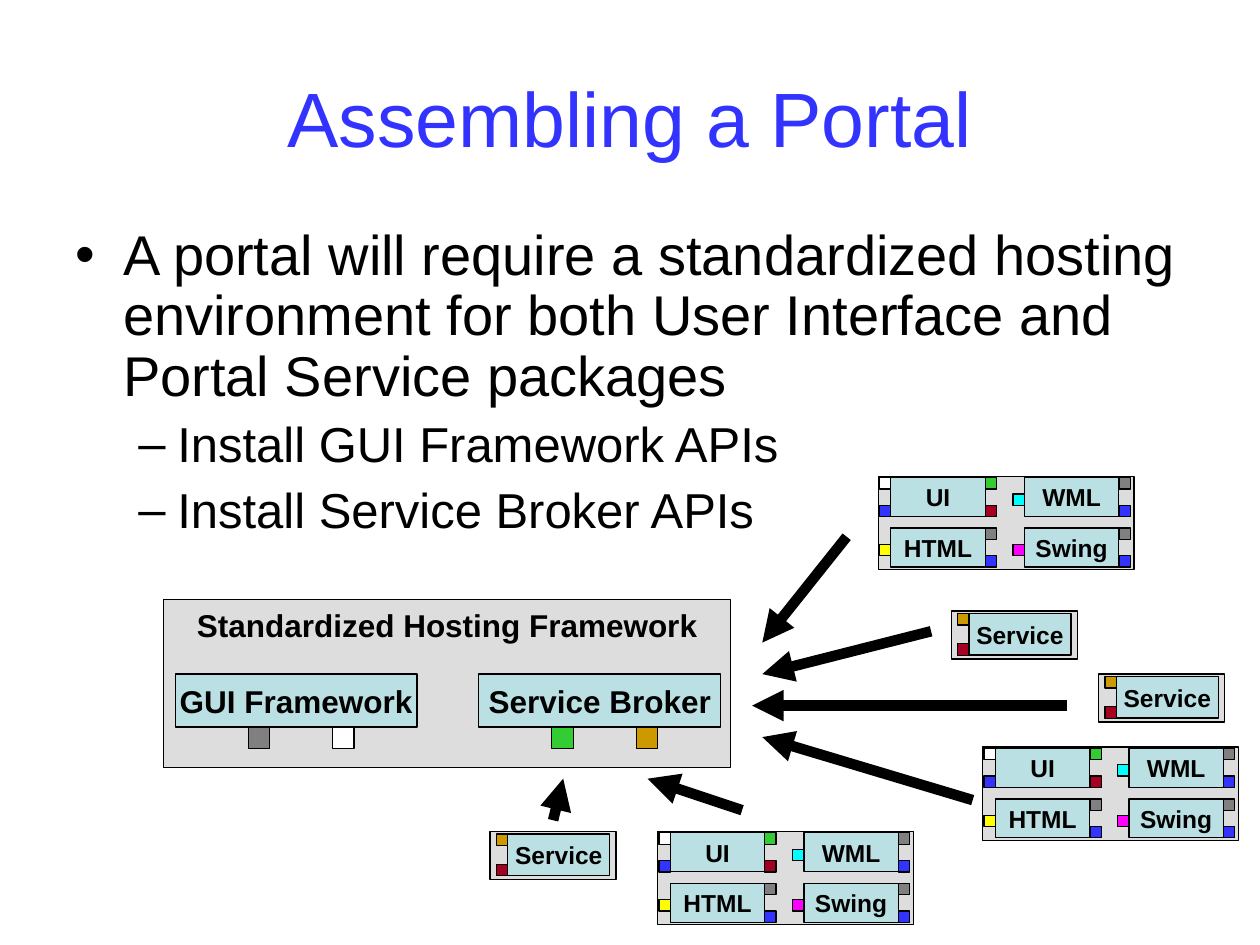
from dataclasses import dataclass

from lxml.etree import SubElement
from pptx import Presentation
from pptx.dml.color import RGBColor
from pptx.enum.shapes import MSO_CONNECTOR as Connector, MSO_SHAPE as Shape
from pptx.enum.text import MSO_ANCHOR as Anchor, PP_ALIGN as Align
from pptx.oxml.ns import qn
from pptx.util import Inches, Pt


@dataclass(frozen=True)
class Theme:
    """Colours, font and type sizes of the slide."""
    font: str = "Arial"
    title: str = "3333FF"
    ink: str = "000000"
    panel: str = "DDDDDD"
    block: str = "BBE0E3"
    white: str = "FFFFFF"
    gray: str = "808080"
    blue: str = "3333FF"
    red: str = "A50021"
    green: str = "33CC33"
    gold: str = "CC9900"
    cyan: str = "00FFFF"
    magenta: str = "FF00FF"
    yellow: str = "FFFF00"
    title_size: int = 44
    body_size: int = 32
    sub_size: int = 28
    framework_size: int = 18
    package_size: int = 14
    border: float = 0.75
    arrow: float = 6


@dataclass(frozen=True)
class Box:
    """A rectangle in inches."""
    left: float
    top: float
    width: float
    height: float

    def inner(self, left, top, width, height):
        """Return a box offset from this box's corner."""
        return Box(self.left + left, self.top + top, width, height)

    def lengths(self):
        """Return the four lengths for python-pptx."""
        return [Inches(v) for v in (self.left, self.top, self.width, self.height)]


THEME = Theme()
PORT = 0.09


def style_text(para, size, color=THEME.ink, bold=False):
    """Format every run of a paragraph."""
    for run in para.runs:
        run.font.name = THEME.font
        run.font.size = Pt(size)
        run.font.bold = bold
        run.font.color.rgb = RGBColor.from_string(color)


def add_rect(shapes, box, fill, label="", size=THEME.package_size, anchor=Anchor.MIDDLE):
    """Draw a bordered rectangle with an optional bold label."""
    rect = shapes.add_shape(Shape.RECTANGLE, *box.lengths())
    rect.shadow.inherit = False
    rect.fill.solid()
    rect.fill.fore_color.rgb = RGBColor.from_string(fill)
    rect.line.color.rgb = RGBColor.from_string(THEME.ink)
    rect.line.width = Pt(THEME.border)
    if label:
        frame = rect.text_frame
        frame.text = label
        frame.word_wrap = False
        frame.vertical_anchor = anchor
        frame.paragraphs[0].alignment = Align.CENTER
        style_text(frame.paragraphs[0], size, bold=True)


def add_title(page, box, text):
    """Place the centred slide title."""
    frame = page.shapes.add_textbox(*box.lengths()).text_frame
    frame.word_wrap = True
    frame.vertical_anchor = Anchor.MIDDLE
    frame.text = text
    frame.paragraphs[0].alignment = Align.CENTER
    style_text(frame.paragraphs[0], THEME.title_size, THEME.title)


def add_bullets(page, box, items):
    """Place a two-level bullet list of (level, text) items."""
    frame = page.shapes.add_textbox(*box.lengths()).text_frame
    frame.word_wrap = True
    levels = [("•", 0.38, -0.38, THEME.body_size), ("–", 0.81, -0.31, THEME.sub_size)]
    for index, (level, text) in enumerate(items):
        mark, margin, indent, size = levels[level]
        para = frame.add_paragraph() if index else frame.paragraphs[0]
        para.text = text
        para.level = level
        props = para._p.get_or_add_pPr()
        props.set("marL", str(Inches(margin)))
        props.set("indent", str(Inches(indent)))
        SubElement(props, qn("a:buFont"), typeface=THEME.font)
        SubElement(props, qn("a:buChar"), char=mark)
        para.line_spacing = 0.9
        para.space_before = Pt(7 if index else 0)
        style_text(para, size)


def add_framework(page, box):
    """Draw the hosting framework with its two parts and their ports."""
    shapes = page.shapes.add_group_shape().shapes
    add_rect(shapes, box, THEME.panel, "Standardized Hosting Framework",
             THEME.framework_size, Anchor.TOP)
    parts = [(0.09, "GUI Framework", (THEME.gray, THEME.white)),
             (2.5, "Service Broker", (THEME.green, THEME.gold))]
    for left, label, ports in parts:
        part = box.inner(left, 0.59, 1.92, 0.42)
        add_rect(shapes, part, THEME.block, label, THEME.framework_size)
        for index, color in enumerate(ports):
            add_rect(shapes, part.inner(0.58 + 0.67 * index, part.height, 0.17, 0.17), color)


def add_service(page, box):
    """Draw a service package with two ports."""
    shapes = page.shapes.add_group_shape().shapes
    add_rect(shapes, box, THEME.panel)
    block = box.inner(0.14, 0.02, 0.81, 0.33)
    add_rect(shapes, block, THEME.block, "Service")
    for top, color in ((0, THEME.gold), (block.height - PORT, THEME.red)):
        add_rect(shapes, block.inner(-PORT, top, PORT, PORT), color)


def add_interface(page, box):
    """Draw a user interface package as a grid of four blocks with ports."""
    shapes = page.shapes.add_group_shape().shapes
    add_rect(shapes, box, THEME.panel)
    width, height = 0.75, 0.31
    low, middle = height - PORT, 0.13
    right_ports = [(width, 0, THEME.gray), (width, low, THEME.blue)]
    blocks = [
        ("UI", [(-PORT, 0, THEME.white), (-PORT, low, THEME.blue),
                (width, 0, THEME.green), (width, low, THEME.red)]),
        ("WML", [(-PORT, middle, THEME.cyan)] + right_ports),
        ("HTML", [(-PORT, middle, THEME.yellow)] + right_ports),
        ("Swing", [(-PORT, middle, THEME.magenta)] + right_ports),
    ]
    for index, (label, ports) in enumerate(blocks):
        row, column = divmod(index, 2)
        block = box.inner(0.1 + 1.06 * column, 0.01 + 0.4 * row, width, height)
        add_rect(shapes, block, THEME.block, label)
        for left, top, color in ports:
            add_rect(shapes, block.inner(left, top, PORT, PORT), color)


def add_arrow(page, start, end):
    """Draw a thick arrow between two points."""
    points = [Inches(v) for v in (*start, *end)]
    arrow = page.shapes.add_connector(Connector.STRAIGHT, *points)
    arrow.line.color.rgb = RGBColor.from_string(THEME.ink)
    arrow.line.width = Pt(THEME.arrow)
    SubElement(arrow.line._get_or_add_ln(), qn("a:tailEnd"), type="triangle")
    SubElement(arrow._element.spPr, qn("a:effectLst"))


def main():
    """Build and save the slide."""
    deck = Presentation()
    deck.slide_width, deck.slide_height = Inches(10), Inches(7.5)
    page = deck.slides.add_slide(deck.slide_layouts[6])
    add_title(page, Box(0.5, 0.3, 9, 1.25), "Assembling a Portal")
    add_bullets(page, Box(0.5, 1.75, 9, 2.58), [
        (0, "A portal will require a standardized hosting environment for both "
            "User Interface and Portal Service packages"),
        (1, "Install GUI Framework APIs"),
        (1, "Install Service Broker APIs"),
    ])
    add_framework(page, Box(1.3, 4.76, 4.5, 1.33))
    for left, top in ((7.55, 4.85), (8.72, 5.35), (3.89, 6.6)):
        add_service(page, Box(left, top, 1, 0.38))
    for left, top in ((6.97, 3.78), (7.8, 5.93), (5.22, 6.6)):
        add_interface(page, Box(left, top, 2.03, 0.74))
    arrows = [
        ((6.72, 4.26), (6.05, 5.1)), ((7.39, 5.01), (6.05, 5.35)),
        ((8.47, 5.6), (5.97, 5.6)), ((4.39, 6.51), (4.47, 6.18)),
        ((7.72, 6.35), (6.05, 5.85)), ((5.89, 6.43), (5.14, 6.18)),
    ]
    for start, end in arrows:
        add_arrow(page, start, end)
    deck.save("out.pptx")


if __name__ == "__main__":
    main()
